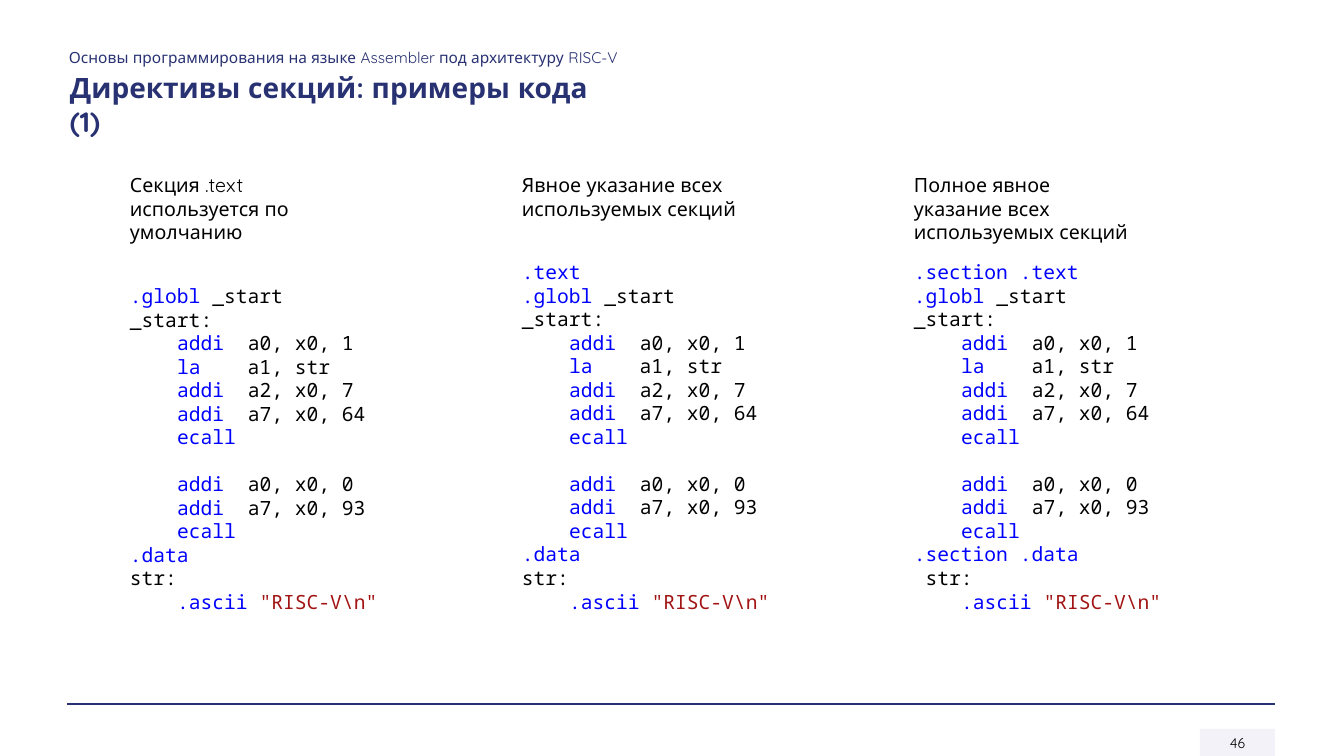
"""Slide with three RISC-V assembler listings that compare section directives."""
from lxml import etree
from pptx import Presentation
from pptx.dml.color import RGBColor
from pptx.enum.shapes import MSO_CONNECTOR, MSO_SHAPE
from pptx.enum.text import MSO_ANCHOR, MSO_AUTO_SIZE, PP_ALIGN
from pptx.oxml.ns import qn
from pptx.util import Pt

PX = 914400 / 100.8
NAVY = RGBColor(0x28, 0x32, 0x72)
LAVENDER = RGBColor(0xF3, 0xF1, 0xF9)
BLACK = RGBColor(0, 0, 0)
BLUE = RGBColor(0, 0, 0xFF)
RED = RGBColor(0xA3, 0x15, 0x15)
RECTANGLE = MSO_SHAPE.RECTANGLE
STRAIGHT = MSO_CONNECTOR.STRAIGHT
GROW = MSO_AUTO_SIZE.SHAPE_TO_FIT_TEXT
MIDDLE = MSO_ANCHOR.MIDDLE
CENTER = PP_ALIGN.CENTER
HEADING_FONT = "Quicksand"
CODE_FONT = "Noto Sans Mono"
CODE_LINE = Pt(16.8)


def px(*lengths):
    return [round(length * PX) for length in lengths]


def add_run(paragraph, text, size, color, font=HEADING_FONT, bold=False):
    run = paragraph.add_run()
    run.text = text
    run.font.name, run.font.size, run.font.bold = font, Pt(size), bold
    run.font.color.rgb = color


prs = Presentation()
prs.slide_width, prs.slide_height = px(1344, 756)
slide = prs.slides.add_slide(prs.slide_layouts[6])

page_number = slide.shapes.add_shape(RECTANGLE, *px(1200, 729, 75, 27))
page_number.shadow.inherit = False
page_number.fill.solid()
page_number.fill.fore_color.rgb = LAVENDER
page_color = page_number.fill._xPr.find(".//" + qn("a:srgbClr"))
etree.SubElement(page_color, qn("a:alpha")).set("val", "90000")
page_number.line.fill.background()
page_number.text_frame.vertical_anchor = MIDDLE
page_number.text_frame.paragraphs[0].alignment = CENTER
add_run(page_number.text_frame.paragraphs[0], "46", 10, BLACK)

footer_rule = slide.shapes.add_connector(STRAIGHT, *px(67, 704, 1275, 704))
footer_rule.line.color.rgb = NAVY
footer_rule.line.width = Pt(1)
etree.SubElement(footer_rule._element.spPr, qn("a:effectLst"))

SETUP = [
    ("", ".globl ", "_start"),
    ("", "", "_start:"),
    ("    ", "addi", "  a0, x0, 1"),
    ("    ", "la", "    a1, str"),
    ("    ", "addi", "  a2, x0, 7"),
    ("    ", "addi", "  a7, x0, 64"),
    ("    ", "ecall", ""),
]
EXIT = [
    ("    ", "addi", "  a0, x0, 0"),
    ("    ", "addi", "  a7, x0, 93"),
    ("    ", "ecall", ""),
]
MESSAGE = ("    ", ".ascii ", '"RISC-V\\n"')

COLUMNS = [
    ("Секция .text используется по умолчанию", 82, "", ".data", "str:"),
    ("Явное указание всех используемых секций", 57, ".text", ".data", "str:"),
    ("Полное явное указание всех используемых секций", 82,
     ".section .text", ".section .data", " str:"),
]
COLUMN_LEFT, COLUMN_STEP = 120, 392

headings = [
    ("Основы программирования на языке Assembler под архитектуру RISC-V",
     (59, 43, 1032, 29), 11, NAVY, False),
    ("Директивы секций: примеры кода (1)", (60, 66, 541, 44), 20, NAVY, True),
]
for index, (caption, height, *_) in enumerate(COLUMNS):
    place = (COLUMN_LEFT + index * COLUMN_STEP, 168, 245, height)
    headings.append((caption, place, 14, BLACK, False))

for text, place, size, color, bold in headings:
    frame = slide.shapes.add_textbox(*px(*place)).text_frame
    frame.word_wrap = True
    frame.auto_size = GROW
    add_run(frame.paragraphs[0], text, size, color, bold=bold)

for index, (_, _, text_section, data_section, label) in enumerate(COLUMNS):
    opening = [("", text_section, "")] if text_section else []
    listing = opening + SETUP + EXIT + [("", data_section, ""), ("", "", label), MESSAGE]
    top, height = (255, 367) if opening else (279, 343)
    left = COLUMN_LEFT + index * COLUMN_STEP
    frame = slide.shapes.add_textbox(*px(left, top, 319, height)).text_frame
    frame.word_wrap = True
    frame.auto_size = GROW
    for number, (indent, keyword, rest) in enumerate(listing):
        paragraph = frame.add_paragraph() if number else frame.paragraphs[0]
        if number == len(opening + SETUP):
            paragraph.space_before = CODE_LINE
        rest_color = RED if rest.startswith('"') else BLACK
        for text, color in ((indent, BLACK), (keyword, BLUE), (rest, rest_color)):
            if text:
                add_run(paragraph, text, 14, color, CODE_FONT)

prs.save("out.pptx")
